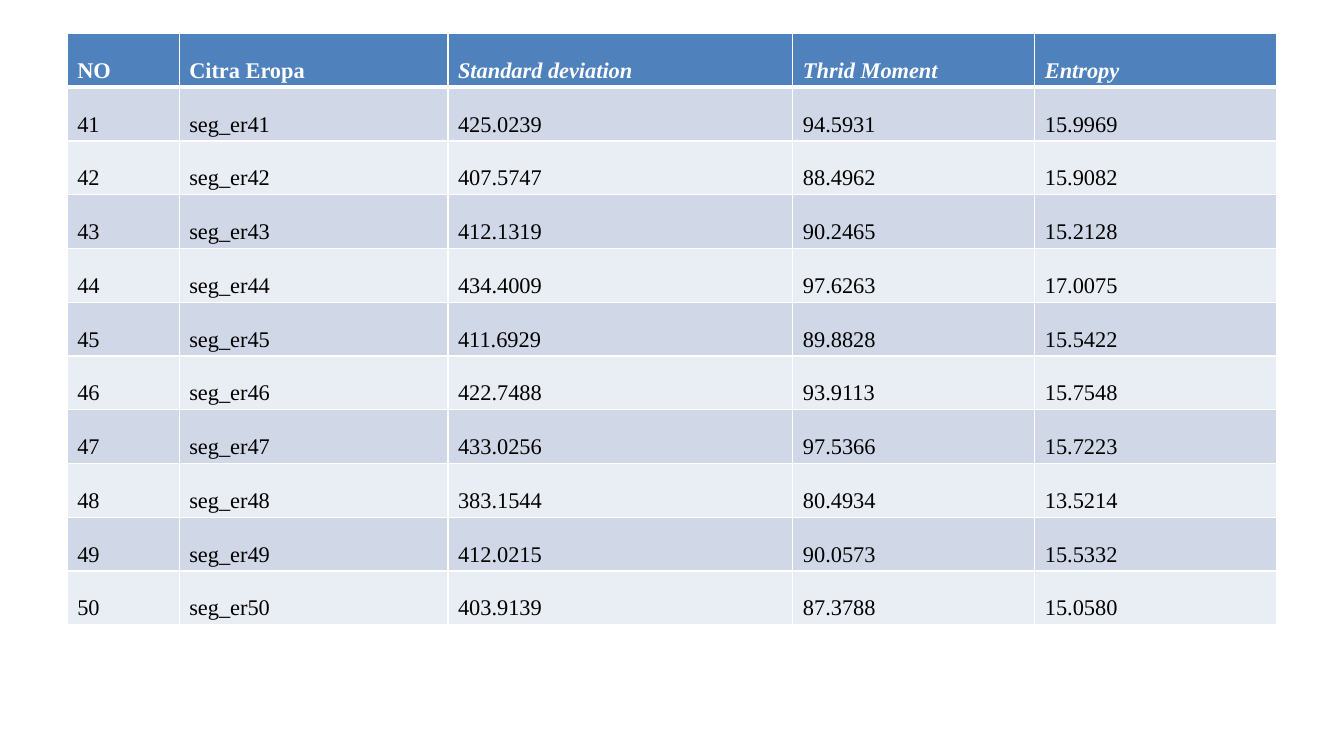
from lxml import etree
from pptx import Presentation
from pptx import util as u
from pptx.dml.color import RGBColor
from pptx.enum import text
from pptx.oxml.ns import qn

HEADERS = ["NO", "Citra Eropa", "Standard deviation", "Thrid Moment", "Entropy"]
ITALIC_FROM = 2
FIRST_NO = 41
FEATURES = [
    ("425.0239", "94.5931", "15.9969"),
    ("407.5747", "88.4962", "15.9082"),
    ("412.1319", "90.2465", "15.2128"),
    ("434.4009", "97.6263", "17.0075"),
    ("411.6929", "89.8828", "15.5422"),
    ("422.7488", "93.9113", "15.7548"),
    ("433.0256", "97.5366", "15.7223"),
    ("383.1544", "80.4934", "13.5214"),
    ("412.0215", "90.0573", "15.5332"),
    ("403.9139", "87.3788", "15.0580"),
]
LEFT_ALIGNED = {"425.0239", "89.8828", "93.9113", "97.5366", "383.1544", "412.0215"}
COLORS = {"header": "4F81BD", "odd": "D0D8E8", "even": "E9EDF4",
          "border": "FFFFFF", "header_text": "FFFFFF", "body_text": "000000"}
FONT, SIZE = "Times New Roman", 16
LEFT, TOP, ROW_HEIGHT = 48, 24, 38.4
COL_WIDTHS = [80, 192, 246.4, 172.8, 172.8]


def set_borders(cell, bottom):
    tc_pr = cell._tc.get_or_add_tcPr()
    for side, width in (("L", 1), ("R", 1), ("T", 1), ("B", bottom)):
        ln = etree.SubElement(tc_pr, qn(f"a:ln{side}"), w=str(u.Pt(width)))
        fill = etree.SubElement(ln, qn("a:solidFill"))
        etree.SubElement(fill, qn("a:srgbClr"), val=COLORS["border"])


def fill_cell(cell, value, row, col):
    header = row == 0
    set_borders(cell, 3 if header else 1)
    shade = "header" if header else "odd" if row % 2 else "even"
    cell.fill.solid()
    cell.fill.fore_color.rgb = RGBColor.from_string(COLORS[shade])
    cell.margin_left = cell.margin_right = u.Pt(7.2)
    cell.margin_top = cell.margin_bottom = u.Pt(0)
    p = cell.text_frame.paragraphs[0]
    p.text = value
    p.line_spacing = 2.0
    align = text.PP_ALIGN
    p.alignment = align.LEFT if value in LEFT_ALIGNED else align.JUSTIFY
    font = p.runs[0].font
    font.name, font.size = FONT, u.Pt(SIZE)
    font.bold = header
    font.italic = header and col >= ITALIC_FROM
    color = COLORS["header_text" if header else "body_text"]
    font.color.rgb = RGBColor.from_string(color)


def main():
    prs = Presentation()
    prs.slide_width, prs.slide_height = u.Pt(960), u.Pt(540)
    s = prs.slides.add_slide(prs.slide_layouts[6])
    rows = [HEADERS] + [(str(no), f"seg_er{no}", *values)
                        for no, values in enumerate(FEATURES, FIRST_NO)]
    table = s.shapes.add_table(
        len(rows), len(HEADERS), u.Pt(LEFT), u.Pt(TOP),
        u.Pt(sum(COL_WIDTHS)), u.Pt(ROW_HEIGHT * len(rows))).table
    for column, width in zip(table.columns, COL_WIDTHS):
        column.width = u.Pt(width)
    for i, values in enumerate(rows):
        table.rows[i].height = u.Pt(ROW_HEIGHT)
        for j, value in enumerate(values):
            fill_cell(table.cell(i, j), value, i, j)
    prs.save("out.pptx")


if __name__ == "__main__":
    main()
